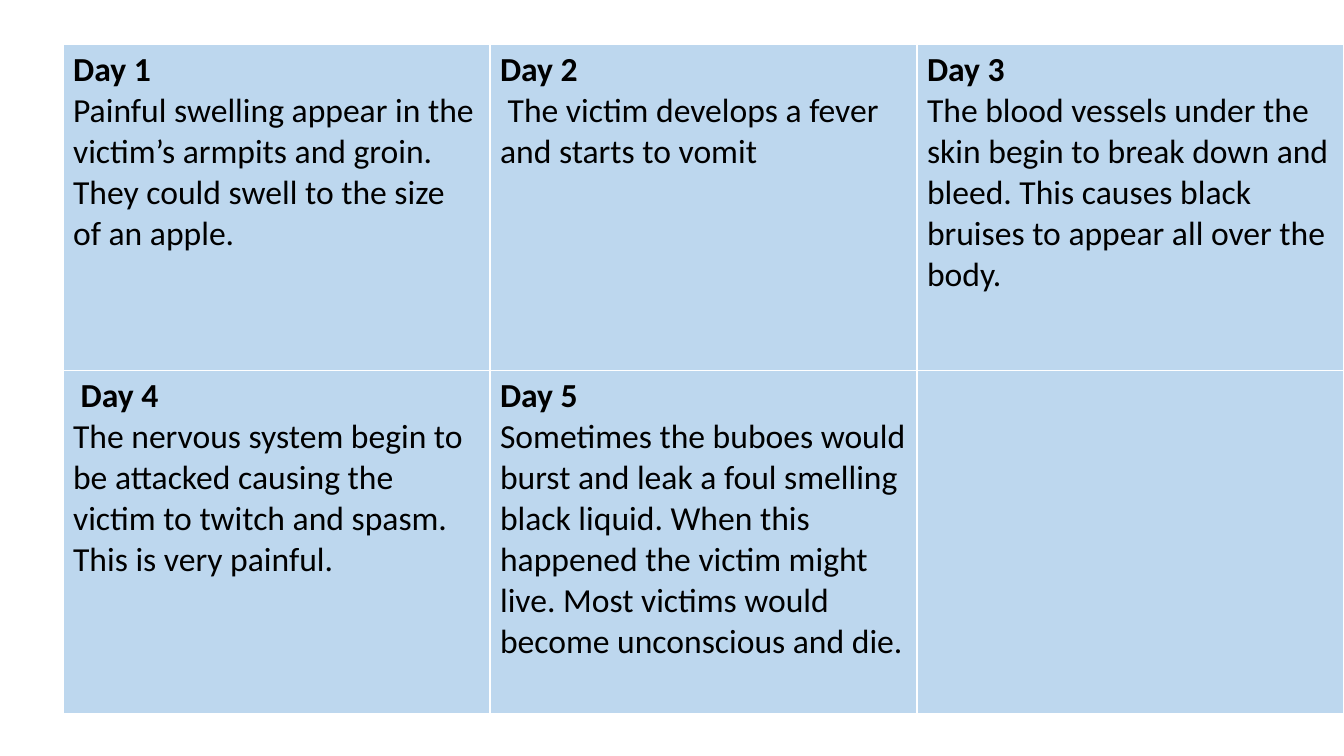
import pptx
import pptx.util
import pptx.dml.color
import pptx.oxml
import pptx.oxml.ns

Pt = pptx.util.Pt
RGB = pptx.dml.color.RGBColor

BLACK = RGB(0x00, 0x00, 0x00)
WHITE = RGB(0xFF, 0xFF, 0xFF)
PALE = RGB(0xBD, 0xD7, 0xEE)

COLS = 3
ROWS = [232.6, 244.8]
DAYS = [
    ("Day 1", "Painful swelling appear in the victim’s armpits and groin. "
              "They could swell to the size of an apple."),
    ("Day 2", " The victim develops a fever and starts to vomit"),
    ("Day 3", "The blood vessels under the skin begin to break down and bleed. "
              "This causes black bruises to appear all over the body."),
    (" Day 4", "The nervous system begin to be attacked causing the victim "
               "to twitch and spasm. This is very painful."),
    ("Day 5", "Sometimes the buboes would burst and leak a foul smelling black "
              "liquid. When this happened the victim might live. Most victims "
              "would become unconscious and die."),
]


def write(para, text, size=24, bold=False, color=BLACK, face="Calibri"):
    run = para.add_run()
    run.text = text
    font = run.font
    font.size = Pt(size)
    font.bold = bold
    font.color.rgb = color
    font.name = face


def border(cell, color, width):
    # Border lines must come before the fill in the cell properties
    props = cell._tc.get_or_add_tcPr()
    for spot, side in enumerate("LRTB"):
        line = pptx.oxml.parse_xml(
            f'<a:ln{side} {pptx.oxml.ns.nsdecls("a")} w="{Pt(width)}">'
            f'<a:solidFill><a:srgbClr val="{color}"/></a:solidFill>'
            f'</a:ln{side}>')
        props.insert(spot, line)


def day_grid(slide, left, top, width):
    frame = slide.shapes.add_table(len(ROWS), COLS, Pt(left), Pt(top),
                                   Pt(width), Pt(sum(ROWS)))
    table = frame.table
    table.first_row = False
    table.horz_banding = False
    for col in table.columns:
        col.width = Pt(width / COLS)
    for row, height in zip(table.rows, ROWS):
        row.height = Pt(height)

    # Every cell has the same look, the last one stays empty
    for cell in table.iter_cells():
        cell.fill.solid()
        cell.fill.fore_color.rgb = PALE
        border(cell, WHITE, 1)

    # Day heading, then its symptoms
    for cell, (day, text) in zip(table.iter_cells(), DAYS):
        body = cell.text_frame
        write(body.paragraphs[0], day, bold=True)
        write(body.add_paragraph(), text)


def main():
    deck = pptx.Presentation()
    deck.slide_width = Pt(960)
    deck.slide_height = Pt(540)
    slide = deck.slides.add_slide(deck.slide_layouts[6])
    day_grid(slide, 45, 32, 915)
    deck.save("out.pptx")


if __name__ == "__main__":
    main()
